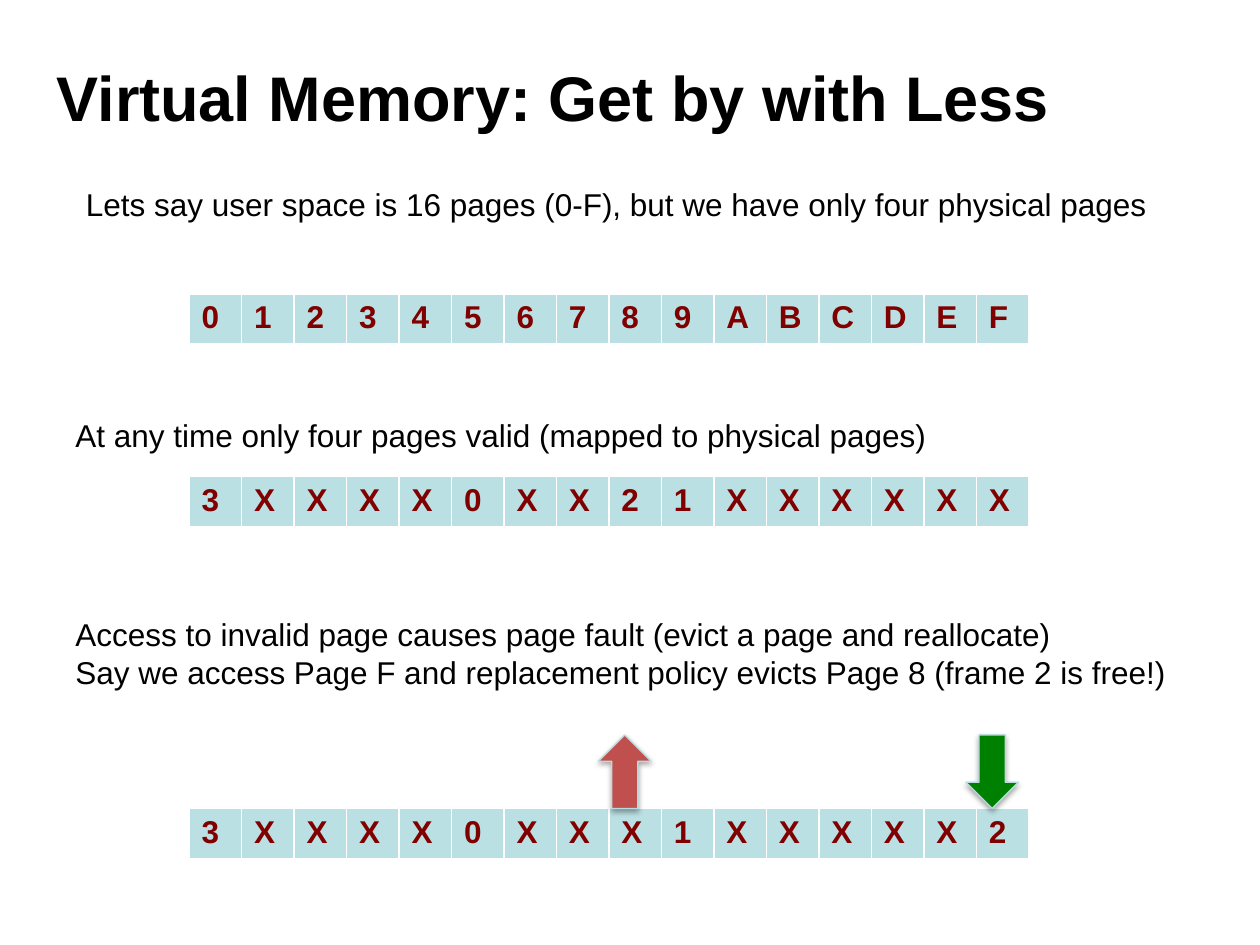
from dataclasses import dataclass

from lxml import etree
from pptx import Presentation
from pptx.dml.color import RGBColor
from pptx.enum.shapes import MSO_SHAPE
from pptx.enum.text import MSO_ANCHOR, PP_ALIGN
from pptx.oxml.ns import qn
from pptx.util import Pt

DOWN_ARROW = MSO_SHAPE.DOWN_ARROW
MIDDLE = MSO_ANCHOR.MIDDLE
LEFT = PP_ALIGN.LEFT

PX = 7620  # EMU per px, 120 px to the inch
FONT = "Arial"
COLORS = {
    "text": "000000",
    "page": "800000",
    "cell": "BBE0E3",
    "border": "FFFFFF",
    "evicted": "C0504D",
    "loaded": "008000",
    "arrow_line": "B6DCDF",
    "shadow": "000000",
}
BORDERS = {"lnL": 1, "lnR": 1, "lnT": 1, "lnB": 3}  # widths in points

TABLE_X, CELL_W, CELL_H = 180, 50, 49
ARROW_Y, ARROW_H = 700, 70


@dataclass
class Note:
    x: int
    y: int
    w: int
    h: int
    lines: list[str]
    wrap: bool = True


@dataclass
class PageRow:
    y: int
    pages: str


@dataclass
class PageArrow:
    page: int
    color: str
    rotation: int


NOTES = [
    Note(70, 170, 1045, 48,
         ["Lets say user space is 16 pages (0-F), but we have only four physical pages"],
         wrap=False),
    Note(60, 390, 1000, 48,
         ["At any time only four pages valid (mapped to physical pages)"]),
    Note(60, 580, 1080, 157,
         ["Access to invalid page causes page fault (evict a page and reallocate)",
          "Say we access Page F and replacement policy evicts Page 8 (frame 2 is free!)"]),
]
PAGE_ROWS = [
    PageRow(280, "0123456789ABCDEF"),
    PageRow(454, "3XXXX0XX21XXXXXX"),
    PageRow(770, "3XXXX0XXX1XXXXX2"),
]
PAGE_ARROWS = [PageArrow(8, "evicted", 180), PageArrow(15, "loaded", 0)]


def px(*lengths: int) -> list[int]:
    return [n * PX for n in lengths]


def rgb(name: str) -> RGBColor:
    return RGBColor.from_string(COLORS[name])


def set_font(p, size: int, color: str, bold: bool = False) -> None:
    p.font.name = FONT
    p.font.size = Pt(size)
    p.font.bold = bold
    p.font.color.rgb = rgb(color)


def add_color(parent, name: str):
    color = etree.SubElement(parent, qn("a:srgbClr"))
    color.set("val", COLORS[name])
    return color


def add_title(s, text: str) -> None:
    title = s.shapes.title
    title.left, title.top, title.width, title.height = px(42, 42, 1080, 100)
    tf = title.text_frame
    tf.text = text
    tf.vertical_anchor = MIDDLE
    p = tf.paragraphs[0]
    p.alignment = LEFT
    set_font(p, 36, "text", bold=True)


def add_note(s, note: Note) -> None:
    tf = s.shapes.add_textbox(*px(note.x, note.y, note.w, note.h)).text_frame
    tf.word_wrap = note.wrap
    tf.text = "\n".join(note.lines)
    for p in tf.paragraphs:
        set_font(p, 18, "text")


def add_borders(cell) -> None:
    # Border lines come before the fill in the cell properties
    tc_pr = cell._tc.get_or_add_tcPr()
    for i, (tag, width) in enumerate(BORDERS.items()):
        ln = etree.Element(qn(f"a:{tag}"))
        ln.set("w", str(Pt(width)))
        add_color(etree.SubElement(ln, qn("a:solidFill")), "border")
        tc_pr.insert(i, ln)


def add_page_row(s, row: PageRow) -> None:
    n = len(row.pages)
    frame = s.shapes.add_table(1, n, *px(TABLE_X, row.y, n * CELL_W, CELL_H))
    for cell, page in zip(frame.table.iter_cells(), row.pages):
        cell.text = page
        cell.fill.solid()
        cell.fill.fore_color.rgb = rgb("cell")
        set_font(cell.text_frame.paragraphs[0], 18, "page", bold=True)
        add_borders(cell)


def add_shadow(sp) -> None:
    sp.shadow.inherit = False
    effects = sp._element.spPr.find(qn("a:effectLst"))
    shadow = etree.SubElement(effects, qn("a:outerShdw"), blurRad="40000",
                              dist="23000", dir="5400000", rotWithShape="0")
    etree.SubElement(add_color(shadow, "shadow"), qn("a:alpha"), val="35000")


def add_page_arrow(s, arrow: PageArrow) -> None:
    x = TABLE_X + arrow.page * CELL_W - 10 * (arrow.page == 8)
    x = {8: 570, 15: 920}[arrow.page]
    sp = s.shapes.add_shape(DOWN_ARROW, *px(x, ARROW_Y, CELL_W, ARROW_H))
    sp.rotation = arrow.rotation
    sp.fill.solid()
    sp.fill.fore_color.rgb = rgb(arrow.color)
    sp.line.color.rgb = rgb("arrow_line")
    sp.line.width = Pt(0.75)
    add_shadow(sp)


def main() -> None:
    prs = Presentation()
    prs.slide_width, prs.slide_height = px(1200, 900)
    s = prs.slides.add_slide(prs.slide_layouts[5])

    # Heading and explanations
    add_title(s, "Virtual Memory: Get by with Less")
    for note in NOTES:
        add_note(s, note)

    # Page tables, then the evicted and loaded pages
    for row in PAGE_ROWS:
        add_page_row(s, row)
    for arrow in PAGE_ARROWS:
        add_page_arrow(s, arrow)

    prs.save("out.pptx")


if __name__ == "__main__":
    main()
